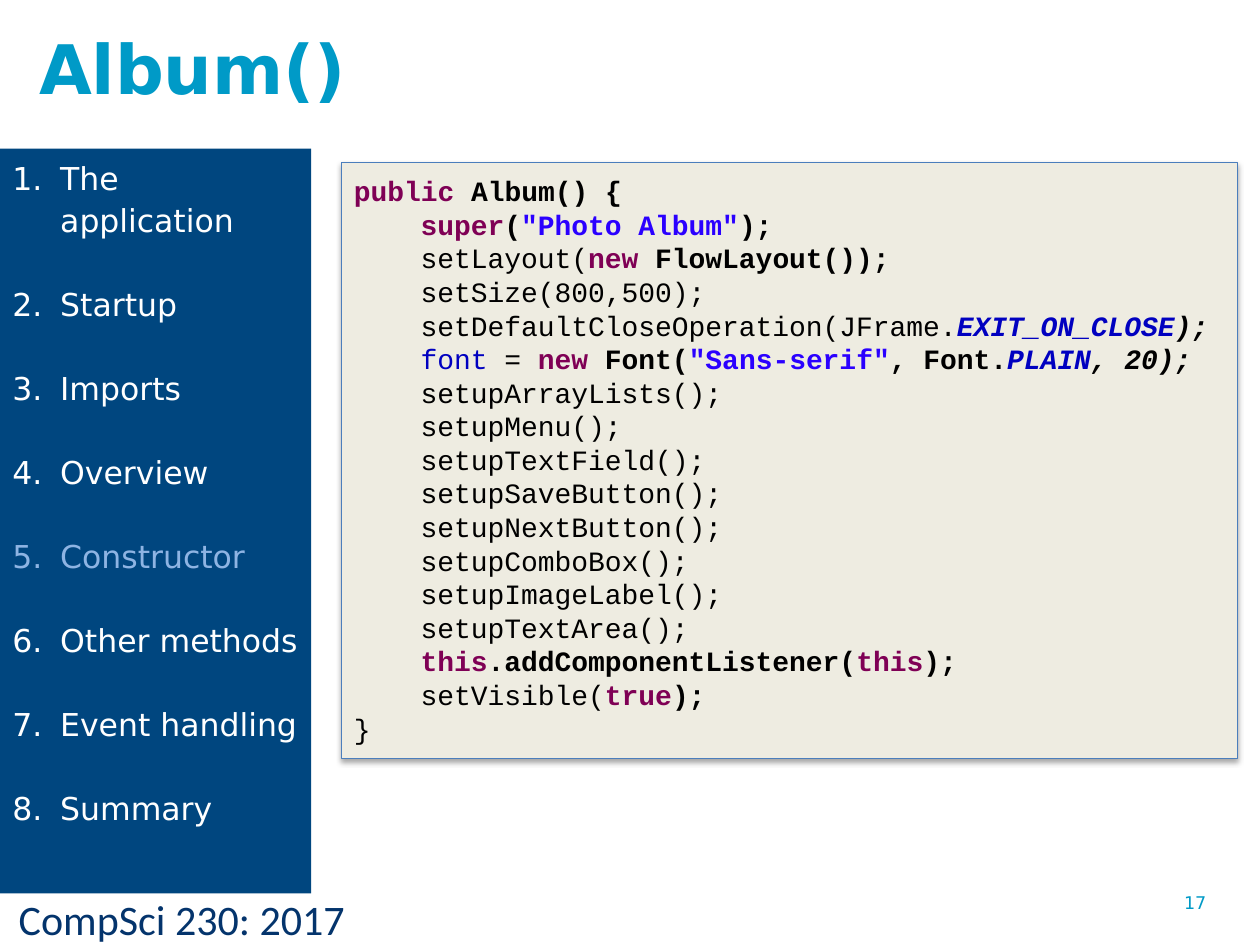
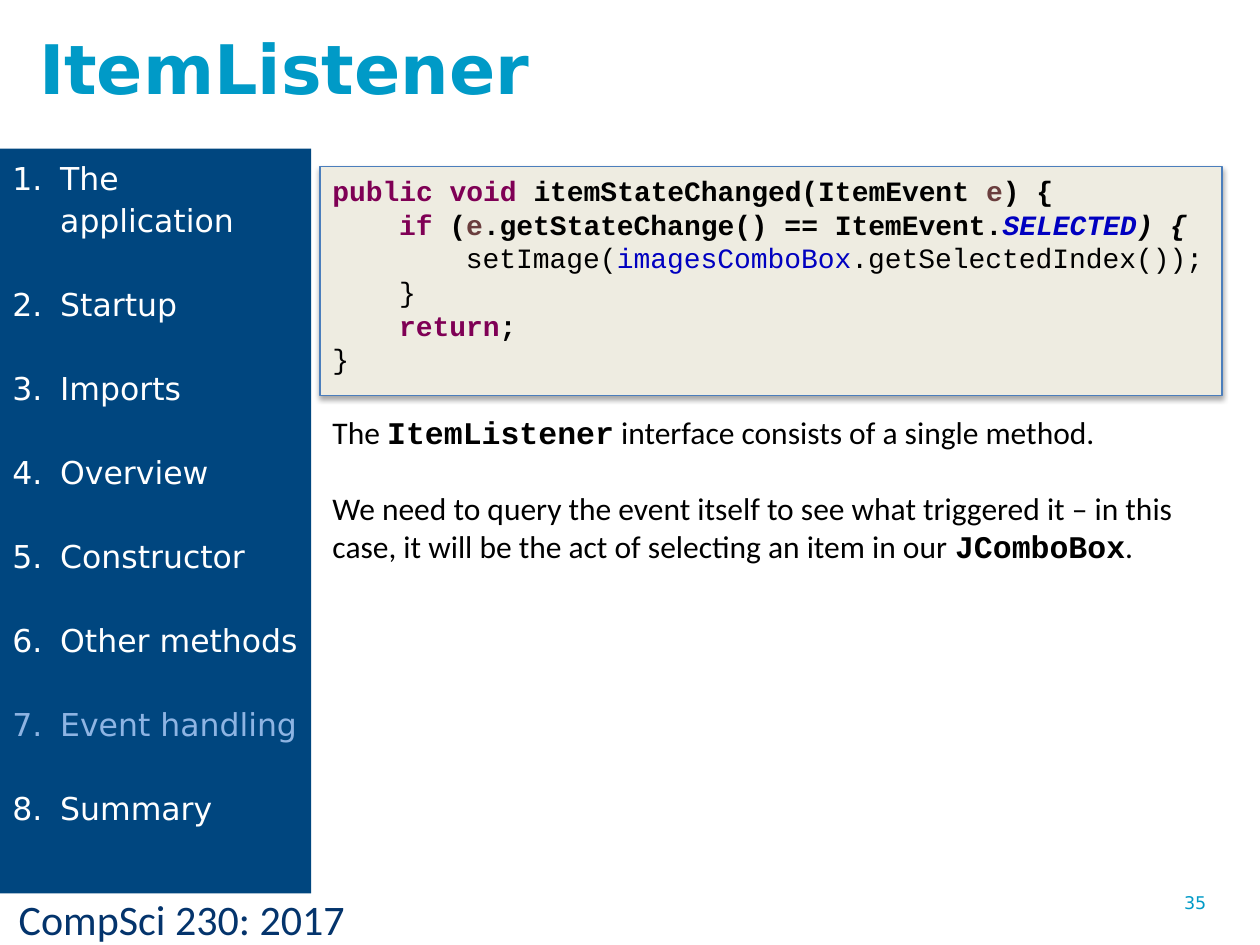
from dataclasses import dataclass

from lxml.etree import SubElement
from pptx import Presentation
from pptx.dml.color import RGBColor as Rgb
from pptx.enum.shapes import MSO_SHAPE as Shape
from pptx.enum.text import MSO_ANCHOR as Anchor, MSO_AUTO_SIZE as AutoSize, PP_ALIGN as Align
from pptx.oxml.ns import qn
from pptx.util import Emu, Pt

EMU_PER_PX = 9144  # 100 px to the inch


def px(length):
    return Emu(length * EMU_PER_PX)


@dataclass(frozen=True)
class Theme:
    # Colours
    accent: str = "009AC7"
    navy: str = "00467F"
    footer_ink: str = "04346C"
    panel: str = "EEECE1"
    panel_edge: str = "4B7EBC"
    white: str = "FFFFFF"
    current: str = "8EB4E3"
    ink: str = "000000"
    keyword: str = "7F0055"
    string: str = "2A00FF"
    field: str = "0000C0"
    argument: str = "6A3E3E"
    # Fonts
    sans: str = "DejaVu Sans"
    body: str = "Calibri"
    mono: str = "Courier New"
    # Type sizes and line pitches in points
    title_size: int = 39
    footer_size: int = 24
    text_size: int = 18
    code_size: int = 16
    number_size: int = 10
    code_pitch: float = 19.2
    agenda_pitch: int = 24
    paragraph_gap: int = 22
    # Indents in px
    code_indent: int = 53
    agenda_indent: int = 38


THEME = Theme()

# Code styles: colour, bold, italic
SYNTAX = {
    "plain": (THEME.ink, False, False),
    "bold": (THEME.ink, True, False),
    "slanted": (THEME.ink, True, True),
    "keyword": (THEME.keyword, True, False),
    "string": (THEME.string, True, False),
    "field": (THEME.field, False, False),
    "constant": (THEME.field, True, True),
    "argument": (THEME.argument, True, False),
}

AGENDA = ["The application", "Startup", "Imports", "Overview", "Constructor",
          "Other methods", "Event handling", "Summary"]

# Code lines: indent level, then (text, style) parts
SETUP_CALLS = ["ArrayLists", "Menu", "TextField", "SaveButton", "NextButton",
               "ComboBox", "ImageLabel", "TextArea"]

ALBUM_CONSTRUCTOR = [
    (0, [("public ", "keyword"), ("Album() {", "bold")]),
    (1, [("super", "keyword"), ("(", "bold"), ('"Photo Album"', "string"), (");", "bold")]),
    (1, [("setLayout(", "plain"), ("new ", "keyword"), ("FlowLayout());", "bold")]),
    (1, [("setSize(800,500);", "plain")]),
    (1, [("setDefaultCloseOperation(JFrame.", "plain"), ("EXIT_ON_CLOSE", "constant"),
         (");", "slanted")]),
    (1, [("font", "field"), (" = ", "plain"), ("new", "keyword"), (" Font(", "bold"),
         ('"Sans-serif"', "string"), (", Font.", "bold"), ("PLAIN", "constant"),
         (", 20);", "slanted")]),
    *[(1, [(f"setup{part}();", "plain")]) for part in SETUP_CALLS],
    (1, [("this", "keyword"), (".addComponentListener(", "bold"), ("this", "keyword"),
         (");", "bold")]),
    (1, [("setVisible(", "plain"), ("true", "keyword"), (");", "bold")]),
    (0, [("}", "plain")]),
]

ITEM_STATE_CHANGED = [
    (0, [("public void ", "keyword"), ("itemStateChanged(ItemEvent ", "bold"),
         ("e", "argument"), (") {", "bold")]),
    (1, [("if", "keyword"), (" (", "bold"), ("e", "argument"),
         (".getStateChange() == ItemEvent.", "bold"), ("SELECTED", "constant"),
         (") {", "slanted")]),
    (2, [("setImage(", "plain"), ("imagesComboBox", "field"),
         (".getSelectedIndex());", "plain")]),
    (1, [("}", "plain")]),
    (1, [("return", "keyword"), (";", "bold")]),
    (0, [("}", "plain")]),
]

# Explanation paragraphs: (text, is code) parts
LISTENER_NOTES = [
    [("The ", False), ("ItemListener", True),
     (" interface consists of a single method.", False)],
    [("We need to query the event itself to see what triggered it – in this case, "
      "it will be the act of selecting an item in our ", False),
     ("JComboBox", True), (".", False)],
]


class Deck:
    """Holds the theme and the slide being built."""

    def __init__(self, theme):
        self.theme = theme
        self.presentation = Presentation()
        self.presentation.slide_width = px(1000)
        self.presentation.slide_height = px(750)
        self.slide = None

    # Text helpers
    def frame(self, holder, anchor=Anchor.TOP):
        frame = holder.text_frame
        frame.word_wrap = True
        frame.auto_size = AutoSize.NONE
        frame.vertical_anchor = anchor
        return frame

    def text_box(self, box):
        return self.frame(self.slide.shapes.add_textbox(*map(px, box)))

    def paragraphs(self, frame, items):
        """Pair each item with a left-aligned paragraph of the frame."""
        for index, item in enumerate(items):
            paragraph = frame.add_paragraph() if index else frame.paragraphs[0]
            paragraph.alignment = Align.LEFT
            yield paragraph, item

    def run(self, paragraph, text, face, size, colour, bold=False, italic=False):
        run = paragraph.add_run()
        run.text = text
        font = run.font
        font.name, font.size = face, Pt(size)
        font.bold, font.italic = bold, italic
        font.color.rgb = Rgb.from_string(colour)

    def line(self, box, text, face, size, colour):
        self.run(self.text_box(box).paragraphs[0], text, face, size, colour)

    def rectangle(self, box, fill):
        rectangle = self.slide.shapes.add_shape(Shape.RECTANGLE, *map(px, box))
        rectangle.shadow.inherit = False
        rectangle.fill.solid()
        rectangle.fill.fore_color.rgb = Rgb.from_string(fill)
        rectangle.line.fill.background()
        return rectangle

    # Slide parts
    def start(self, title, number, current):
        layout = self.presentation.slide_layouts[5]
        self.slide = self.presentation.slides.add_slide(layout)
        self.title(title)
        self.footer(number)
        self.agenda(current)

    def title(self, text):
        t = self.theme
        heading = self.slide.shapes.title
        heading.left, heading.top, heading.width, heading.height = map(px, (21, 14, 713, 78))
        paragraph = self.frame(heading, Anchor.MIDDLE).paragraphs[0]
        paragraph.alignment = Align.LEFT
        self.run(paragraph, text, t.sans, t.title_size, t.accent, bold=True)

    def footer(self, number):
        t = self.theme
        self.line((5, 704, 405, 50), "CompSci 230: 2017", t.body, t.footer_size, t.footer_ink)
        self.line((930, 703, 70, 52), str(number), t.sans, t.number_size, t.accent)

    def agenda(self, current):
        t = self.theme
        frame = self.frame(self.rectangle((0, 118, 247, 591), t.navy))
        for paragraph, topic in self.paragraphs(frame, AGENDA):
            paragraph.line_spacing = paragraph.space_after = Pt(t.agenda_pitch)
            properties = paragraph._p.get_or_add_pPr()
            properties.set("marL", str(px(t.agenda_indent)))
            properties.set("indent", str(-px(t.agenda_indent)))
            SubElement(properties, qn("a:buFont"), typeface="+mj-lt")
            SubElement(properties, qn("a:buAutoNum"), type="arabicPeriod")
            colour = t.current if topic == current else t.white
            self.run(paragraph, topic, t.sans, t.text_size, colour)

    def panel(self, box):
        panel = self.rectangle(box, self.theme.panel)
        panel.line.color.rgb = Rgb.from_string(self.theme.panel_edge)
        panel.line.width = Pt(0.75)
        # Soft shadow straight below
        effects = panel._element.spPr.find(qn("a:effectLst"))
        shadow = SubElement(effects, qn("a:outerShdw"), blurRad=str(Pt(3.1)),
                            dist=str(Pt(1.8)), dir="5400000", rotWithShape="0")
        black = SubElement(shadow, qn("a:srgbClr"), val=self.theme.ink)
        SubElement(black, qn("a:alpha"), val="35000")

    def code(self, box, lines):
        t = self.theme
        for paragraph, (level, parts) in self.paragraphs(self.text_box(box), lines):
            paragraph.line_spacing = Pt(t.code_pitch)
            properties = paragraph._p.get_or_add_pPr()
            properties.set("marL", str(px(level * t.code_indent)))
            properties.set("indent", "0")
            for text, style in parts:
                self.run(paragraph, text, t.mono, t.code_size, *SYNTAX[style])

    def notes(self, box, texts):
        t = self.theme
        for paragraph, parts in self.paragraphs(self.text_box(box), texts):
            paragraph.space_after = Pt(t.paragraph_gap)
            for text, is_code in parts:
                face = t.mono if is_code else t.body
                self.run(paragraph, text, face, t.text_size, t.ink, bold=is_code)


def main():
    deck = Deck(THEME)

    # Constructor
    deck.start("Album()", 17, "Constructor")
    deck.panel((271, 129, 711, 473))
    deck.code((271, 133, 718, 470), ALBUM_CONSTRUCTOR)

    # Event handling
    deck.start("ItemListener", 35, "Event handling")
    deck.panel((254, 132, 716, 182))
    deck.code((254, 133, 724, 340), ITEM_STATE_CHANGED)
    deck.notes((254, 323, 738, 192), LISTENER_NOTES)

    deck.presentation.save("out.pptx")


if __name__ == "__main__":
    main()
